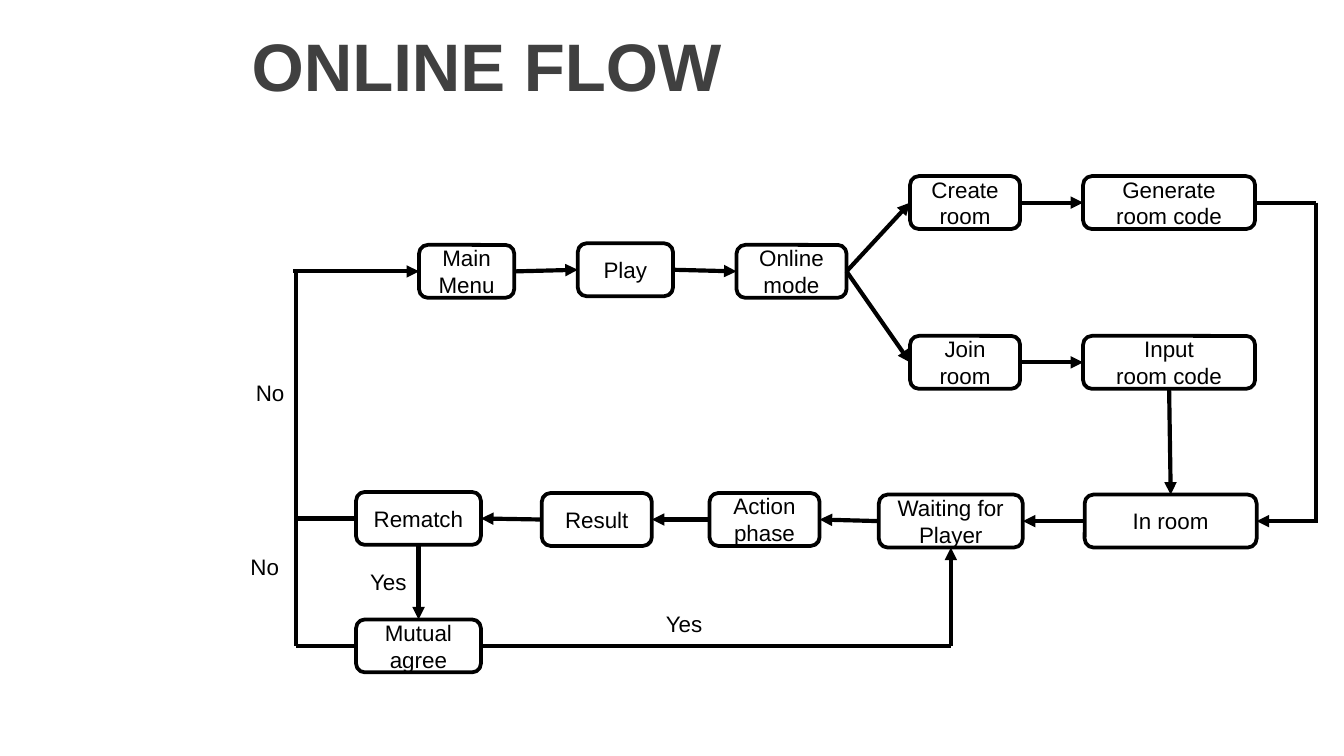
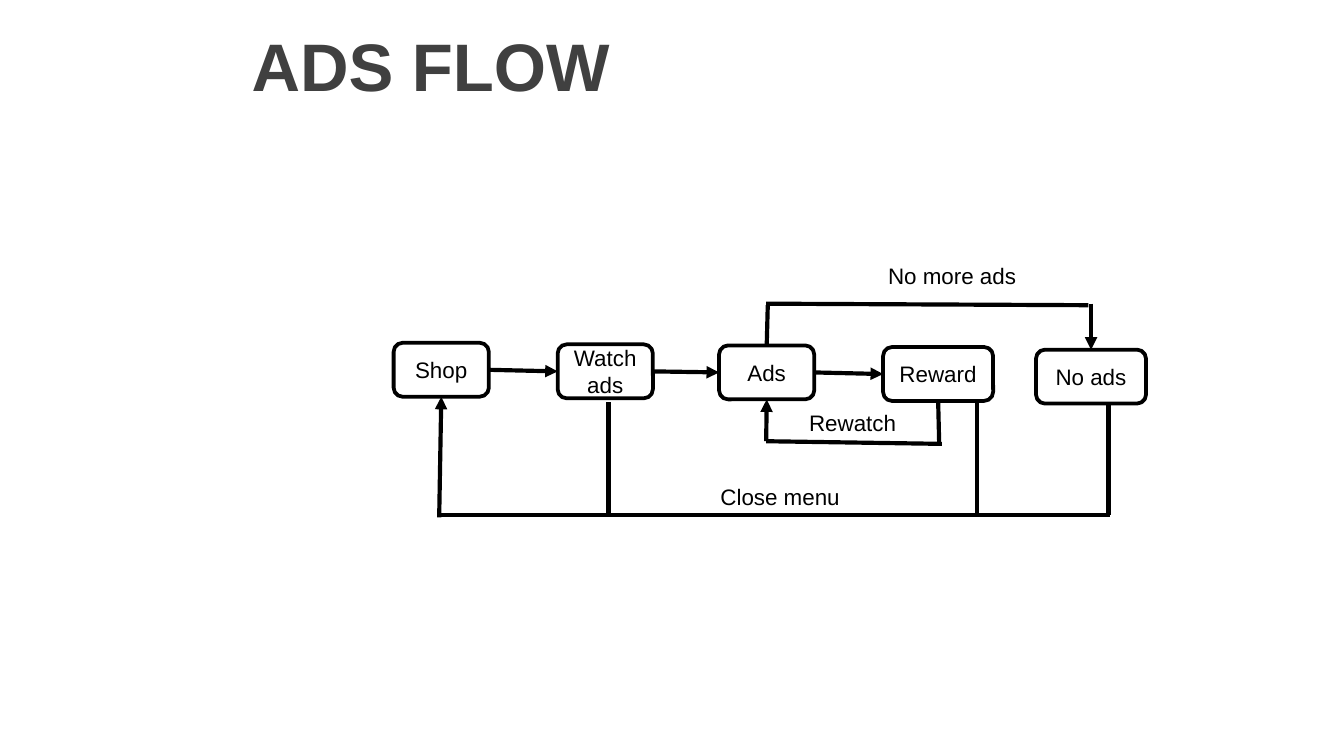
import pptx
import pptx.util
import pptx.dml.color
import pptx.enum.shapes
import pptx.enum.text
import pptx.oxml
import pptx.oxml.ns
from pptx.util import Cm

COLOURS = {"ink": "000000", "paper": "FFFFFF", "title": "404040"}
TITLE_FONT = {"name": "Arial", "size": pptx.util.Pt(36), "bold": True}
BODY_FONT = {"name": "Arial", "size": pptx.util.Pt(12), "bold": False}
CENTRE = pptx.enum.text.PP_ALIGN.CENTER
MIDDLE = pptx.enum.text.MSO_ANCHOR.MIDDLE
TOP, LEFT, BOTTOM, RIGHT = range(4)


def colour(name):
    return pptx.dml.color.RGBColor.from_string(COLOURS[name])


def write(text_frame, text, font_values, font_colour, alignment):
    text_frame.text = text
    for paragraph in text_frame.paragraphs:
        paragraph.alignment = alignment
        for run in paragraph.runs:
            for attribute, value in font_values.items():
                setattr(run.font, attribute, value)
            run.font.color.rgb = colour(font_colour)


def add_titled_slide(presentation, title):
    slide = presentation.slides.add_slide(presentation.slide_layouts[5])
    shape = slide.shapes.title
    place = {"left": Cm(4.5), "top": Cm(0), "width": Cm(20.9), "height": Cm(2.46)}
    for attribute, value in place.items():
        setattr(shape, attribute, value)
    shape.text_frame.vertical_anchor = MIDDLE
    write(shape.text_frame, title, TITLE_FONT, "title",
          pptx.enum.text.PP_ALIGN.LEFT)
    return slide


class Flow:
    """A flow chart whose parts are placed in cm from its left top corner."""

    def __init__(self, slide, left, top, node_height):
        self.shapes = slide.shapes
        self.left, self.top = left, top
        self.node_height = node_height
        self.nodes = {}

    def position(self, x, y):
        return Cm(self.left + x), Cm(self.top + y)

    def add_node(self, text, x, y, width):
        shape = self.shapes.add_shape(
            pptx.enum.shapes.MSO_SHAPE.ROUNDED_RECTANGLE,
            *self.position(x, y), Cm(width), Cm(self.node_height))
        shape.shadow.inherit = False
        shape.fill.solid()
        shape.fill.fore_color.rgb = colour("paper")
        shape.line.color.rgb = colour("ink")
        shape.line.width = pptx.util.Pt(2)
        shape.text_frame.word_wrap = True
        shape.text_frame.vertical_anchor = MIDDLE
        write(shape.text_frame, text, BODY_FONT, "ink", CENTRE)
        self.nodes[text.replace("\n", " ")] = shape

    def add_line(self, start, end, arrow=False):
        """Each end is an (x, y) point or a (node name, side) pair."""
        points = [(0, 0) if isinstance(stop[0], str) else stop
                  for stop in (start, end)]
        line = self.shapes.add_connector(
            pptx.enum.shapes.MSO_CONNECTOR.STRAIGHT,
            *self.position(*points[0]), *self.position(*points[1]))
        for stop, connect in ((start, line.begin_connect), (end, line.end_connect)):
            if isinstance(stop[0], str):
                connect(self.nodes[stop[0]], stop[1])
        line.line.color.rgb = colour("ink")
        line.line.width = pptx.util.Pt(2.25)
        properties = line._element.spPr
        if arrow:
            tail = pptx.oxml.parse_xml(
                '<a:tailEnd %s type="triangle"/>' % pptx.oxml.ns.nsdecls("a"))
            line.line._get_or_add_ln().append(tail)
        properties.append(pptx.oxml.parse_xml(
            "<a:effectLst %s/>" % pptx.oxml.ns.nsdecls("a")))

    def add_chain(self, names, leave, enter):
        for first, second in zip(names, names[1:]):
            self.add_line((first, leave), (second, enter), True)

    def add_label(self, text, x, y, width, wrap=False):
        box = self.shapes.add_textbox(*self.position(x, y), Cm(width), Cm(0.75))
        box.text_frame.word_wrap = wrap
        box.text_frame.auto_size = pptx.enum.text.MSO_AUTO_SIZE.SHAPE_TO_FIT_TEXT
        write(box.text_frame, text, BODY_FONT, "ink", CENTRE)


def draw_online_flow(slide, left, top):
    flow = Flow(slide, left, top, node_height=1)
    for node in (
        ("Main Menu", 3.45, 1.3, 1.8),
        ("Play", 6.45, 1.27, 1.8),
        ("Online mode", 9.45, 1.3, 2.08),
        ("Create room", 12.73, 0, 2.08),
        ("Join\nroom", 12.73, 3.02, 2.08),
        ("Generate\nroom code", 16, 0, 3.25),
        ("Input\nroom code", 16, 3.02, 3.25),
        ("In room", 16.03, 6.02, 3.25),
        ("Waiting for\nPlayer", 12.14, 6.02, 2.72),
        ("Action\nphase", 8.94, 5.99, 2.08),
        ("Result", 5.77, 5.99, 2.08),
        ("Rematch", 2.26, 5.97, 2.36),
        ("Mutual\nagree", 2.26, 8.38, 2.36),
    ):
        flow.add_node(*node)

    # Steps from the menu to the room, then back to the rematch
    flow.add_chain(["Main Menu", "Play", "Online mode", "Create room",
                    "Generate room code"], RIGHT, LEFT)
    flow.add_chain(["Online mode", "Join room", "Input room code"], RIGHT, LEFT)
    flow.add_chain(["In room", "Waiting for Player", "Action phase", "Result",
                    "Rematch"], LEFT, RIGHT)
    flow.add_chain(["Input room code", "In room"], BOTTOM, TOP)
    flow.add_chain(["Rematch", "Mutual agree"], BOTTOM, TOP)

    # Right rail: room code to room
    rail = 20.4
    flow.add_line(("Generate room code", RIGHT), (rail, 0.5))
    flow.add_line((rail, 0.5), (rail, 6.52))
    flow.add_line((rail + 0.03, 6.52), ("In room", RIGHT), True)

    # Left rail: refusals return to the menu
    rail = 1.12
    for name, y in (("Rematch", 6.47), ("Mutual agree", 8.88)):
        flow.add_line((rail, y), (name, LEFT))
    flow.add_line((rail, 1.8), (rail, 8.88))
    flow.add_line((rail - 0.05, 1.8), ("Main Menu", LEFT), True)

    # Agreed rematch returns to waiting
    flow.add_line(("Mutual agree", RIGHT), (13.5, 8.88))
    flow.add_line((13.5, 8.88), ("Waiting for Player", BOTTOM), True)

    for label in (("No", 0.1, 3.71, 1.07), ("Yes", 2.26, 7.29, 1.22),
                  ("No", 0, 7.01, 1.07), ("Yes", 7.85, 8.08, 1.22)):
        flow.add_label(*label)


def draw_ads_flow(slide, left, top):
    flow = Flow(slide, left, top, node_height=1.02)
    for node in (
        ("Shop", 0, 1.65, 1.8),
        ("Watch ads", 3.1, 1.68, 1.8),
        ("Ads", 6.15, 1.7, 1.8),
        ("Reward", 9.25, 1.73, 2.08),
        ("No ads", 12.14, 1.78, 2.08),
    ):
        flow.add_node(*node)
    flow.add_chain(["Shop", "Watch ads", "Ads", "Reward"], RIGHT, LEFT)

    # Rewatch loop
    flow.add_line(("Reward", BOTTOM), (10.31, 3.58))
    flow.add_line((7.04, 3.51), (10.36, 3.56))
    flow.add_line((7.04, 3.51), ("Ads", BOTTOM), True)

    # Branch with no more ads
    flow.add_line((7.07, 0.94), ("Ads", TOP))
    flow.add_line((7.04, 0.91), (13.13, 0.94))
    flow.add_line((13.18, 0.91), ("No ads", TOP), True)

    # Closing the menu returns to the shop
    floor = 4.9
    for x, y in ((4.06, 2.77), (11.02, 2.72), (13.51, 2.82)):
        flow.add_line((x, y), (x, floor))
    flow.add_line((0.89, floor), (13.54, floor))
    flow.add_line((0.86, floor + 0.05), ("Shop", BOTTOM), True)

    for label in (("Rewatch", 7.52, 2.77, 2.31), ("No more ads", 8.41, 0, 4.29),
                  ("Close menu", 5.16, 4.17, 4.29)):
        flow.add_label(*label, wrap=True)


def main():
    presentation = pptx.Presentation()
    presentation.slide_width = Cm(25.4)
    presentation.slide_height = Cm(14.29)
    draw_online_flow(add_titled_slide(presentation, "ONLINE FLOW"), 4.47, 3.33)
    draw_ads_flow(add_titled_slide(presentation, "ADS FLOW"), 7.44, 4.83)
    presentation.save("out.pptx")


if __name__ == "__main__":
    main()
